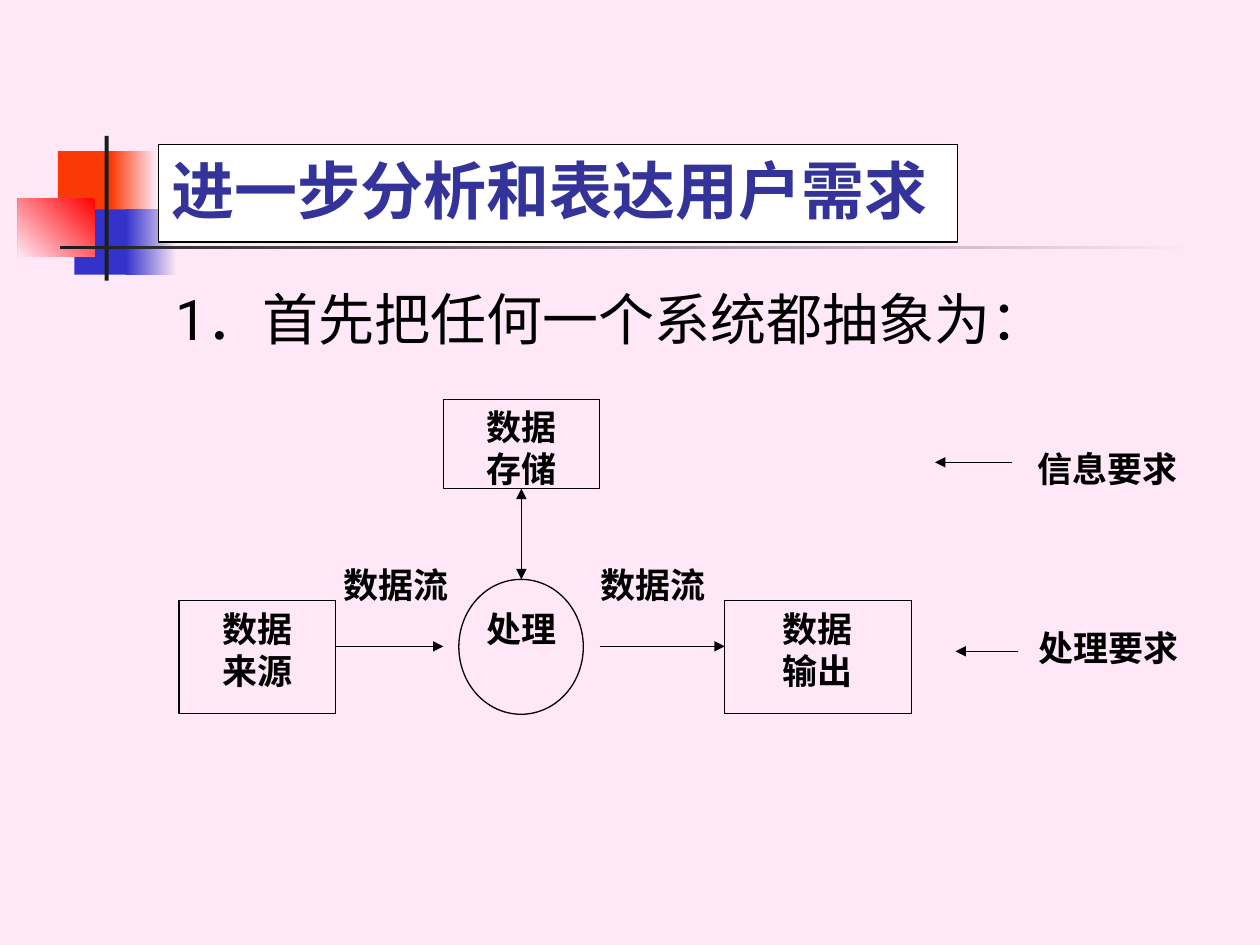
from lxml import etree
from pptx import Presentation
from pptx import util as u
from pptx.dml.color import RGBColor
from pptx.enum import shapes, text
from pptx.oxml import ns

COLORS = {
    "background": "FEE8F7",
    "orange": "FA3A06",
    "blue": "3333CC",
    "red": "FF0000",
    "dark": "1C1C1C",
    "title": "333399",
    "white": "FFFFFF",
    "black": "000000",
}


def color(name):
    """Return the named colour."""
    return RGBColor.from_string(COLORS[name])


def place(shape, box):
    """Move and size a shape to a box given in centimetres."""
    shape.left, shape.top, shape.width, shape.height = (u.Cm(v) for v in box)


def within(origin, box):
    """Shift a box by the left and top of the region that holds it."""
    return (origin[0] + box[0], origin[1] + box[1], *box[2:])


def add_outline(shape):
    """Give a shape or connector the thin black line."""
    shape.line.color.rgb = color("black")
    shape.line.width = u.Pt(0.75)


def write(shape, lines, size, font, font_color="black", bold=False,
          align=text.PP_ALIGN.LEFT, side=0.25):
    """Write one paragraph per line, anchored to the top of the shape."""
    frame = shape.text_frame
    frame.word_wrap = True
    frame.auto_size = text.MSO_AUTO_SIZE.NONE
    frame.vertical_anchor = text.MSO_ANCHOR.TOP
    frame.margin_left = frame.margin_right = u.Cm(side)
    frame.margin_top = frame.margin_bottom = u.Cm(0.13)
    for index, line in enumerate(lines):
        paragraph = frame.add_paragraph() if index else frame.paragraphs[0]
        paragraph.alignment = align
        run = paragraph.add_run()
        run.text = line
        run.font.size = u.Pt(size)
        run.font.name = font
        run.font.bold = bold
        run.font.color.rgb = color(font_color)


def add_shape(slide, kind, box):
    """Add a preset shape without a shadow."""
    shape = slide.shapes.add_shape(kind, *(u.Cm(v) for v in box))
    shape.shadow.inherit = False
    return shape


def add_ornament(slide, origin):
    """Draw the coloured squares and the crossing bars."""
    parts = [
        ((0.81, 0.31, 1.22, 1.32), ["orange"], 0),
        ((1.88, 0.31, 0.91, 1.32), ["background", "orange"], 180),
        ((1.14, 1.48, 1.17, 1.32), ["blue"], 0),
        ((2.18, 1.48, 1.02, 1.32), ["background", "blue"], 180),
        ((0, 1.27, 1.55, 1.17), ["red", "background"], 225),
        ((1.75, 0, 0.08, 2.92), ["dark"], 0),
        ((0.86, 2.21, 22.86, 0.08), ["background", "dark"], 180),
    ]
    for box, names, angle in parts:
        shape = add_shape(slide, shapes.MSO_SHAPE.RECTANGLE, within(origin, box))
        shape.line.fill.background()
        if len(names) == 1:
            shape.fill.solid()
            shape.fill.fore_color.rgb = color(names[0])
            continue
        shape.fill.gradient()
        shape.fill.gradient_angle = angle
        for stop, name, position in zip(shape.fill.gradient_stops, names, (0, 1)):
            stop.color.rgb = color(name)
            stop.position = position


def add_title(slide, box):
    """Format the title placeholder and bring it to the front."""
    title = slide.shapes.title
    place(title, box)
    title.fill.solid()
    title.fill.fore_color.rgb = color("white")
    add_outline(title)
    write(title, ["进一步分析和表达用户需求"], 36, "Roboto", "title", True)
    slide.shapes.element.append(title.element)


def add_body(slide, box):
    """Add the statement above the diagram."""
    body = slide.shapes.add_textbox(*(u.Cm(v) for v in box))
    write(body, ["1．首先把任何一个系统都抽象为："], 32, "Roboto")
    properties = body.text_frame.paragraphs[0]._p.get_or_add_pPr()
    properties.set("marL", str(u.Cm(0.95)))
    properties.set("indent", str(-u.Cm(0.95)))


def add_arrow(slide, origin, start, end, both=False):
    """Connect two points with an arrow, pointing both ways on request."""
    points = [u.Cm(o + v) for point in (start, end) for o, v in zip(origin, point)]
    arrow = slide.shapes.add_connector(shapes.MSO_CONNECTOR.STRAIGHT, *points)
    add_outline(arrow)
    line = arrow.line._get_or_add_ln()
    for tag in ["a:headEnd", "a:tailEnd"] if both else ["a:tailEnd"]:
        etree.SubElement(line, ns.qn(tag), type="triangle")
    etree.SubElement(arrow.element.spPr, ns.qn("a:effectLst"))


def add_diagram(slide, origin):
    """Draw the data flow diagram with its nodes, labels and arrows."""
    rectangle, oval = shapes.MSO_SHAPE.RECTANGLE, shapes.MSO_SHAPE.OVAL
    nodes = [
        (oval, (5.64, 3.63, 2.51, 2.72), []),
        (rectangle, (5.33, 0, 3.15, 1.8), ["数据", "存储"]),
        (rectangle, (0, 4.06, 3.15, 2.27), ["数据", "来源"]),
        (rectangle, (11, 4.06, 3.76, 2.27), ["数据", "输出"]),
    ]
    labels = [
        ((8.15, 3.18, 2.82, 1.8), "数据流"),
        ((3.12, 3.18, 2.51, 1.8), "数据流"),
        ((5.97, 4.06, 1.88, 1.35), "处理"),
        ((17.15, 0.84, 3.15, 1.85), "信息要求"),
        ((17.17, 4.45, 3.15, 1.45), "处理要求"),
    ]
    arrows = [
        ((16.79, 1.27), (15.24, 1.27), False),
        ((3.15, 4.98), (5.33, 4.98), False),
        ((8.48, 4.98), (11, 4.98), False),
        ((16.92, 5.08), (15.65, 5.08), False),
        ((6.9, 1.8), (6.9, 3.63), True),
    ]
    style = dict(size=20, font="Times New Roman", bold=True,
                 align=text.PP_ALIGN.CENTER, side=0)
    for kind, box, lines in nodes:
        node = add_shape(slide, kind, within(origin, box))
        node.fill.background()
        add_outline(node)
        write(node, lines, **style)
    for box, label in labels:
        shape = slide.shapes.add_textbox(*(u.Cm(v) for v in within(origin, box)))
        write(shape, [label], **style)
    for start, end, both in arrows:
        add_arrow(slide, origin, start, end, both)


def main():
    """Build the slide and save it."""
    presentation = Presentation()
    presentation.slide_width, presentation.slide_height = u.Cm(25.4), u.Cm(19.05)
    slide = presentation.slides.add_slide(presentation.slide_layouts[5])
    slide.background.fill.solid()
    slide.background.fill.fore_color.rgb = color("background")
    add_ornament(slide, (0.36, 2.74))
    add_body(slide, (3.28, 5.61, 21.59, 11.43))
    add_diagram(slide, (3.61, 8.05))
    add_title(slide, (3.2, 2.92, 16.1, 1.96))
    presentation.save("out.pptx")


if __name__ == "__main__":
    main()
